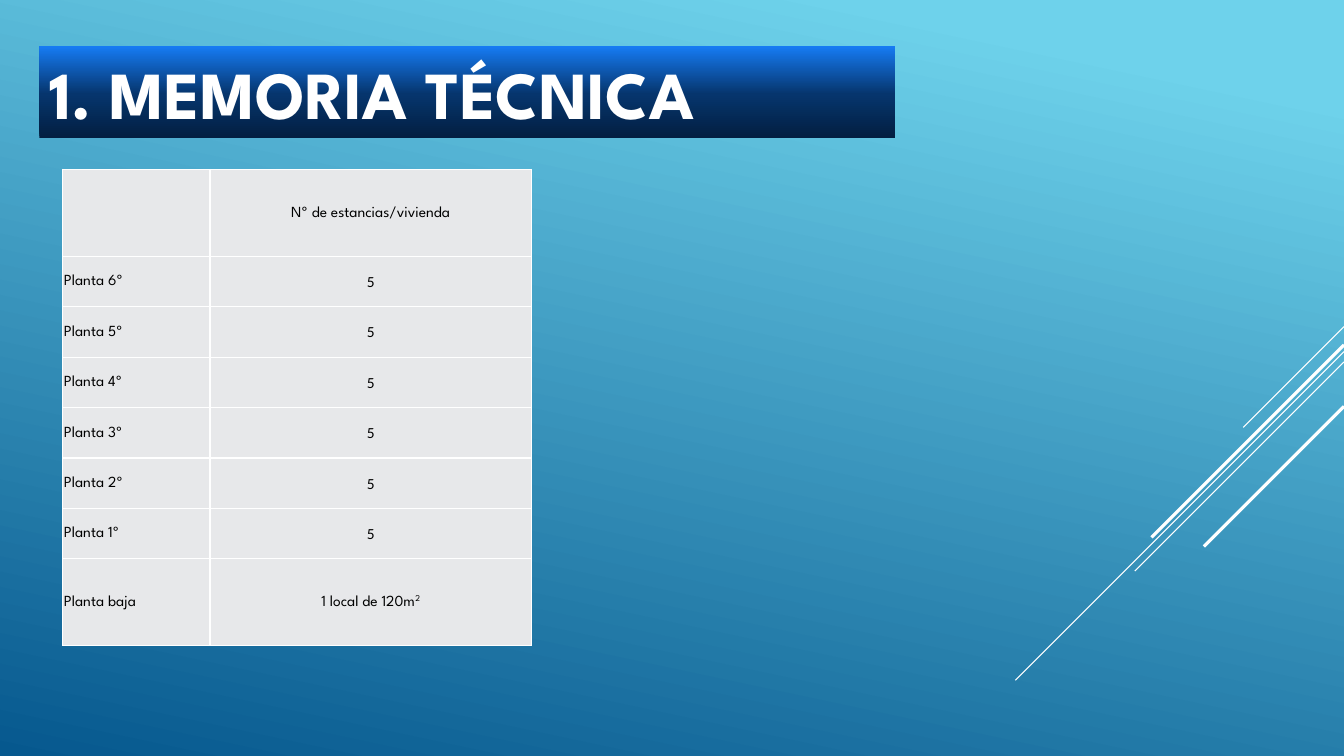
from copy import deepcopy
from dataclasses import dataclass

from lxml import etree
from pptx import Presentation
from pptx import util as u
from pptx.dml.color import RGBColor
from pptx.enum import shapes, text
from pptx.oxml.ns import qn


@dataclass(frozen=True)
class Theme:
    white: str = "FFFFFF"
    ink: str = "000000"
    cell: str = "E7E8EA"
    sky: tuple = ((0.1, "6ED2EB"), (1, "06588E"))
    banner: tuple = ((0, "031F41"), (0.48, "06356D"), (1, "167BF3"))
    heading_font: str = "League Spartan"
    number_font: str = "Calibri"
    heading_size: float = 48
    table_size: float = 11
    border: float = 1


class SlideBuilder:
    def __init__(self, slide, theme):
        self.slide = slide
        self.theme = theme

    def style_font(self, font, name, size, color, bold=False):
        font.name, font.size, font.bold = name, u.Pt(size), bold
        font.color.rgb = RGBColor.from_string(color)

    def set_stops(self, fill, stops, angle):
        fill.gradient_angle = angle
        for stop, (position, color) in zip(fill.gradient_stops, stops):
            stop.color.rgb = RGBColor.from_string(color)
            stop.position = position

    def background(self):
        fill = self.slide.background.fill
        fill.gradient()
        self.set_stops(fill, self.theme.sky, 258)

    def ray(self, top, run, weight):
        """Diagonal line falling at 45 degrees from the right edge."""
        right = 33.86
        ray = self.slide.shapes.add_connector(
            shapes.MSO_CONNECTOR.STRAIGHT,
            u.Cm(right), u.Cm(top), u.Cm(right - run), u.Cm(top + run))
        ray.line.color.rgb = RGBColor.from_string(self.theme.white)
        ray.line.width = u.Pt(weight)
        etree.SubElement(ray.element.spPr, qn("a:effectLst"))

    def title(self, wording, left, top, width, height):
        heading = self.slide.shapes.title
        heading.left, heading.top = u.Cm(left), u.Cm(top)
        heading.width, heading.height = u.Cm(width), u.Cm(height)
        heading.fill.gradient()
        stop_list = heading.element.spPr.find(".//" + qn("a:gsLst"))
        stop_list.insert(1, deepcopy(stop_list[0]))
        self.set_stops(heading.fill, self.theme.banner, 90)
        frame = heading.text_frame
        frame.text = wording
        frame.word_wrap = True
        frame.auto_size = text.MSO_AUTO_SIZE.NONE
        frame.vertical_anchor = text.MSO_ANCHOR.MIDDLE
        frame.paragraphs[0].alignment = text.PP_ALIGN.LEFT
        self.style_font(frame.paragraphs[0].runs[0].font, self.theme.heading_font,
                        self.theme.heading_size, self.theme.white, bold=True)

    def cell_borders(self, cell):
        properties = cell._tc.get_or_add_tcPr()
        for index, side in enumerate(("a:lnL", "a:lnR", "a:lnT", "a:lnB")):
            line = etree.Element(qn(side), w=str(u.Pt(self.theme.border)))
            fill = etree.SubElement(line, qn("a:solidFill"))
            etree.SubElement(fill, qn("a:srgbClr"), val=self.theme.white)
            properties.insert(index, line)

    def fill_cell(self, cell, wording, centred):
        cell.fill.solid()
        cell.fill.fore_color.rgb = RGBColor.from_string(self.theme.cell)
        self.cell_borders(cell)
        cell.margin_left = cell.margin_right = cell.margin_top = u.Cm(0.03)
        cell.margin_bottom = 0
        cell.vertical_anchor = text.MSO_ANCHOR.MIDDLE
        cell.text = wording
        paragraph = cell.text_frame.paragraphs[0]
        paragraph.alignment = text.PP_ALIGN.CENTER if centred else text.PP_ALIGN.LEFT
        font_name = self.theme.number_font if wording.isdigit() else self.theme.heading_font
        for run in paragraph.runs:
            self.style_font(run.font, font_name, self.theme.table_size, self.theme.ink)
        return paragraph

    def table(self, rows, left, top, widths, heights):
        table = self.slide.shapes.add_table(
            len(rows), len(widths), u.Cm(left), u.Cm(top),
            u.Cm(sum(widths)), u.Cm(sum(heights))).table
        for column, width in zip(table.columns, widths):
            column.width = u.Cm(width)
        for row, height, wordings in zip(table.rows, heights, rows):
            row.height = u.Cm(height)
            for index, (cell, wording) in enumerate(zip(row.cells, wordings)):
                self.fill_cell(cell, wording, centred=index > 0)
        return table

    def superscript(self, cell, wording):
        run = cell.text_frame.paragraphs[0].add_run()
        run.text = wording
        self.style_font(run.font, self.theme.heading_font,
                        self.theme.table_size, self.theme.ink)
        run.font._element.set("baseline", "30000")


def main():
    deck = Presentation()
    deck.slide_width, deck.slide_height = u.Cm(33.86), u.Cm(19.05)
    builder = SlideBuilder(deck.slides.add_slide(deck.slide_layouts[5]), Theme())

    # Backdrop with diagonal rays
    builder.background()
    for top, run, weight in ((8.23, 2.54, 0.75), (8.86, 8.28, 0.75), (9.12, 5.27, 0.75),
                             (8.69, 4.85, 2.25), (10.24, 3.53, 2.25)):
        builder.ray(top, run, weight)

    # Heading
    builder.title("1. MEMORIA TÉCNICA", 0.99, 1.17, 21.56, 2.31)

    # Rooms per dwelling on each floor
    floors = [(f"Planta {floor}º", "5") for floor in range(6, 0, -1)]
    rows = [("", "Nº de estancias/vivienda"), *floors, ("Planta baja", "1 local de 120m")]
    rooms = builder.table(rows, 1.58, 4.27, (3.71, 8.1), (2.19, *[1.27] * 6, 2.19))
    builder.superscript(rooms.cell(len(rows) - 1, 1), "2")

    deck.save("out.pptx")


if __name__ == "__main__":
    main()
